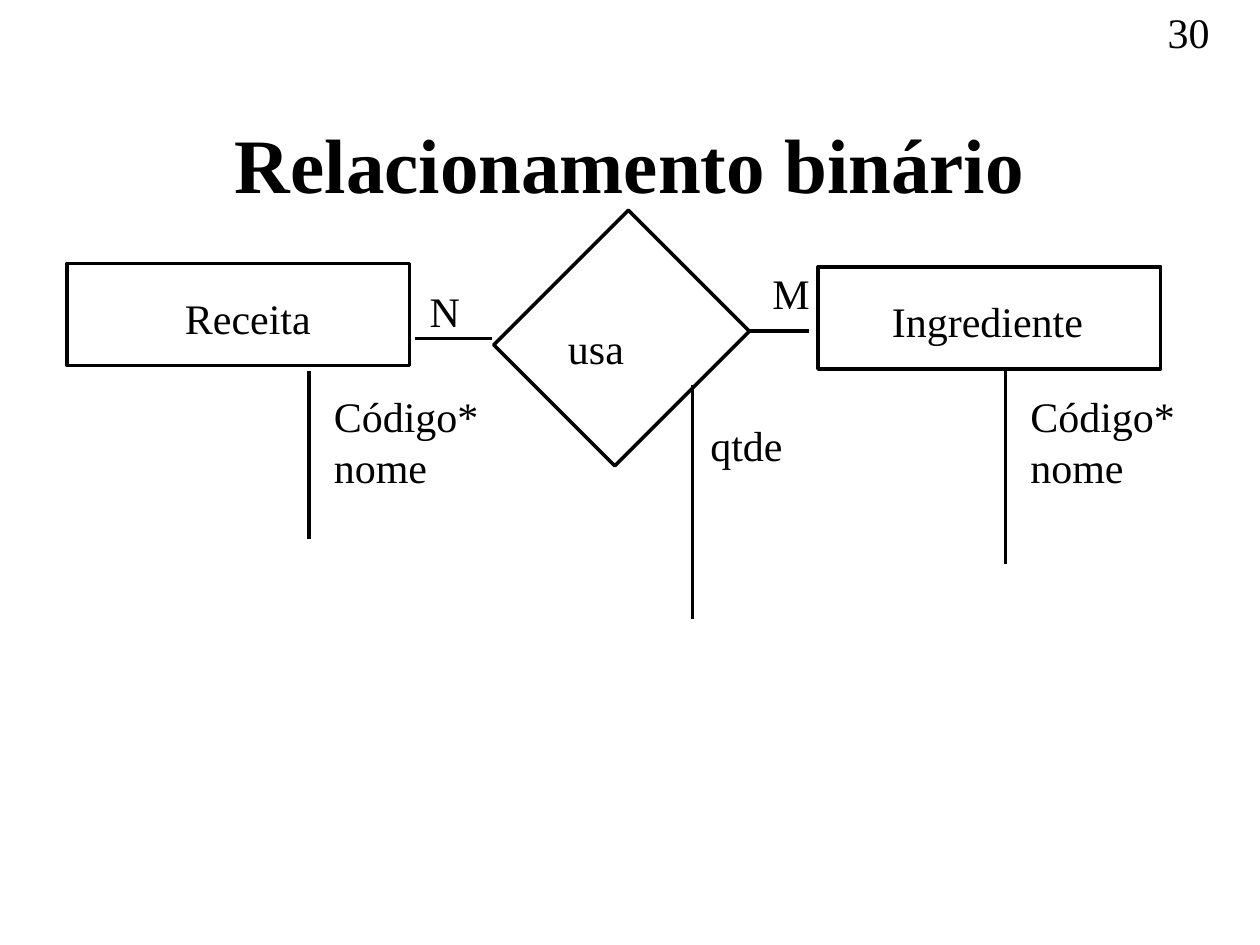
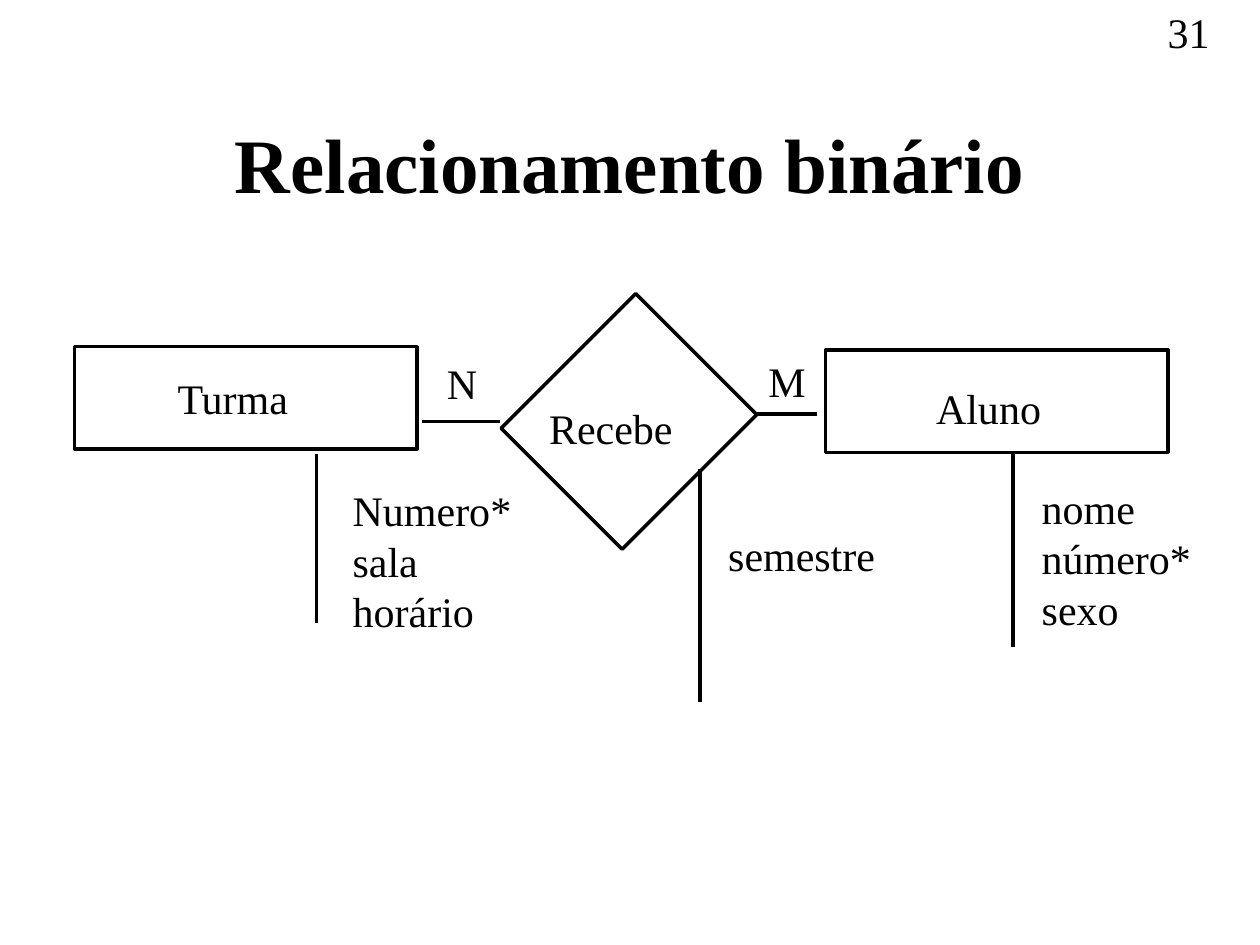
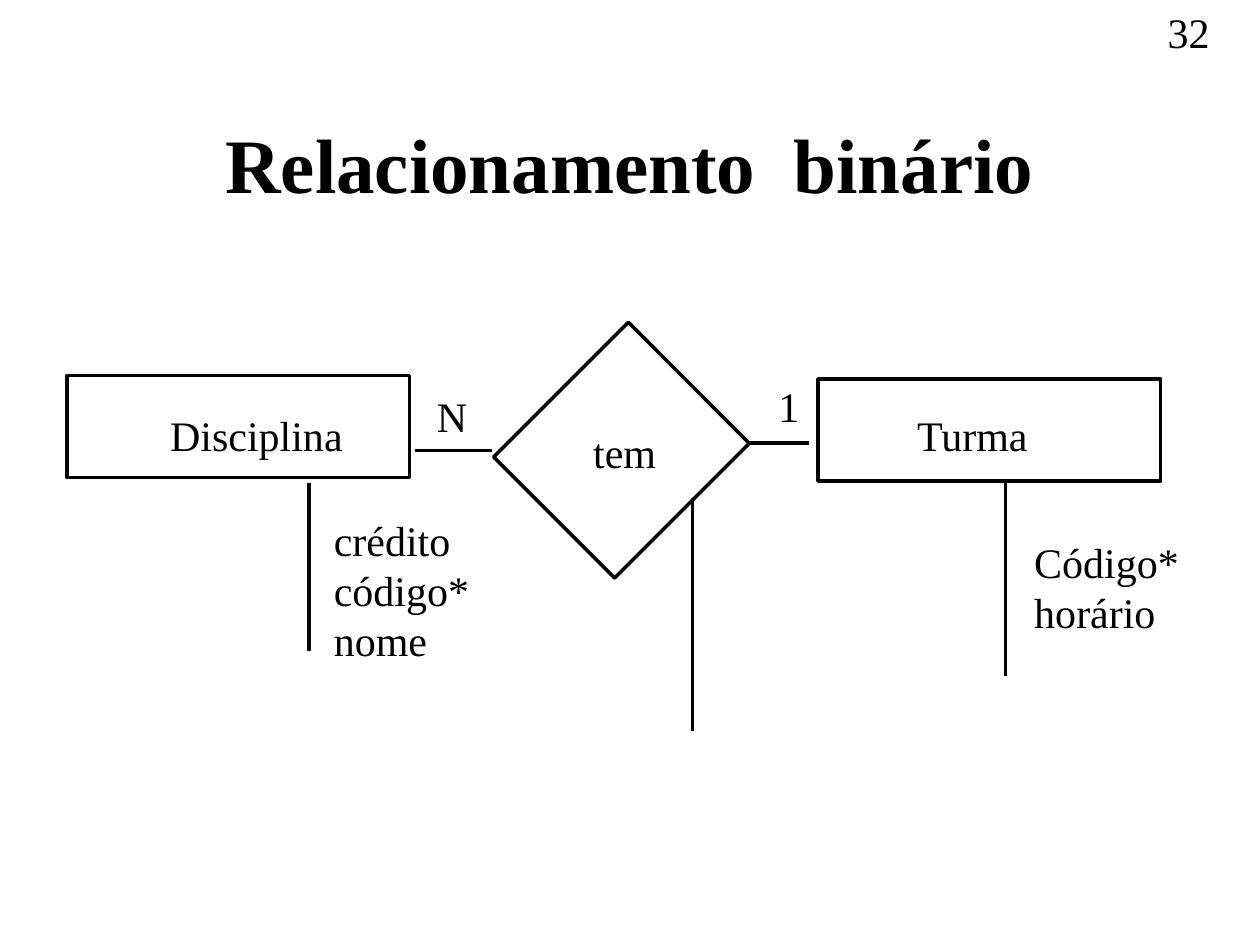
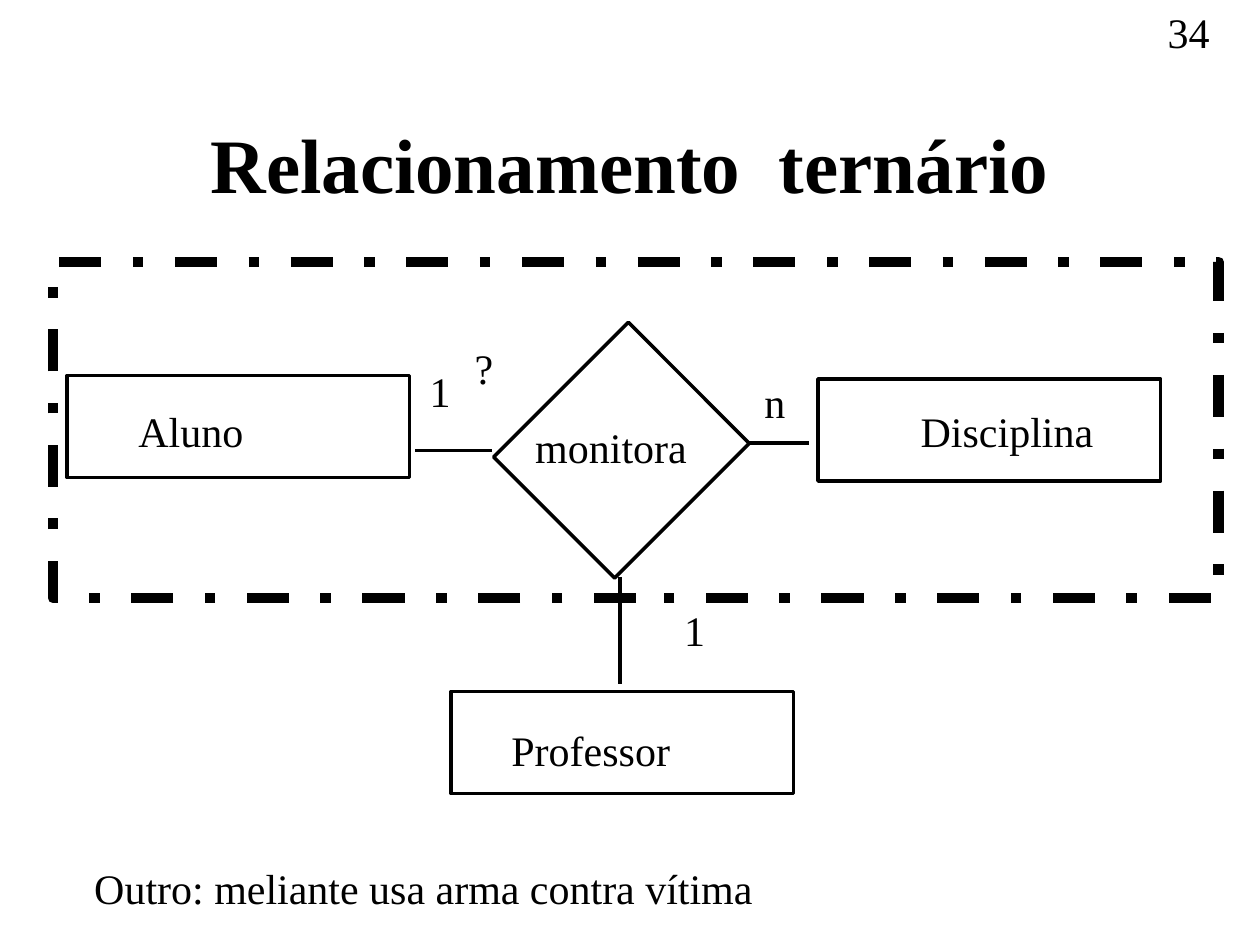
from dataclasses import dataclass

from lxml import etree
from pptx import Presentation
from pptx import util as u
from pptx.dml.color import RGBColor
from pptx.enum import dml, shapes, text
from pptx.oxml import ns


@dataclass(frozen=True)
class Theme:
    ink: RGBColor = RGBColor(0, 0, 0)
    paper: RGBColor = RGBColor(255, 255, 255)
    font: str = "Times New Roman"
    title_size: int = 44
    body_size: int = 24
    line_width: int = 2
    frame_width: int = 6


ENTITY_SIZE = (6.91, 2.06)
DIAMOND_SIZE = (3.84, 3.45)
FIRST_LINE_HEIGHT, LINE_STEP = 1.27, 1.02


class Deck:
    """Holds the theme, the current slide and the canvas that takes new shapes."""

    def __init__(self, theme):
        self.theme = theme
        self.presentation = Presentation()
        self.presentation.slide_width = u.Cm(25.4)
        self.presentation.slide_height = u.Cm(19.05)

    def new_slide(self, number, title):
        self.slide = self.presentation.slides.add_slide(self.presentation.slide_layouts[6])
        self.slide.background.fill.solid()
        self.slide.background.fill.fore_color.rgb = self.theme.paper
        self.canvas = self.slide.shapes
        self.label(str(number), 23.29, 0, 2.11, wrap=True)
        self.title(title)

    def start_group(self):
        self.canvas = self.slide.shapes.add_group_shape().shapes

    def end_group(self):
        self.canvas = self.slide.shapes

    def add_text(self, paragraph, content, size, bold=False):
        run = paragraph.add_run()
        run.text = content
        run.font.name = self.theme.font
        run.font.size = u.Pt(size)
        run.font.bold = bold
        run.font.color.rgb = self.theme.ink

    def title(self, content):
        frame = self.canvas.add_textbox(u.Cm(1.9), u.Cm(1.7), u.Cm(21.6), u.Cm(3.18)).text_frame
        frame.word_wrap = True
        frame.vertical_anchor = text.MSO_ANCHOR.MIDDLE
        frame.paragraphs[0].alignment = text.PP_ALIGN.CENTER
        self.add_text(frame.paragraphs[0], content, self.theme.title_size, bold=True)

    def label(self, content, left, top, width, wrap=False):
        """Text box with one paragraph for each line of content."""
        lines = content.split("\n")
        height = FIRST_LINE_HEIGHT + LINE_STEP * (len(lines) - 1)
        frame = self.canvas.add_textbox(u.Cm(left), u.Cm(top), u.Cm(width), u.Cm(height)).text_frame
        frame.word_wrap = wrap
        frame.auto_size = text.MSO_AUTO_SIZE.SHAPE_TO_FIT_TEXT
        for index, line in enumerate(lines):
            paragraph = frame.add_paragraph() if index else frame.paragraphs[0]
            self.add_text(paragraph, line, self.theme.body_size)

    def outline(self, left, top, size, line_width=None):
        shape = self.canvas.add_shape(shapes.MSO_SHAPE.RECTANGLE, u.Cm(left), u.Cm(top),
                                      *map(u.Cm, size))
        shape.shadow.inherit = False
        shape.fill.background()
        shape.line.color.rgb = self.theme.ink
        shape.line.width = u.Pt(line_width or self.theme.line_width)
        return shape

    def entity(self, left, top):
        self.outline(left, top, ENTITY_SIZE)

    def diamond(self, left, top):
        self.outline(left, top, DIAMOND_SIZE).rotation = 315

    def dashed_frame(self, left, top, size):
        shape = self.outline(left, top, size, self.theme.frame_width)
        shape.line.dash_style = dml.MSO_LINE.DASH_DOT

    def line(self, *ends):
        connector = self.canvas.add_connector(shapes.MSO_CONNECTOR.STRAIGHT, *map(u.Cm, ends))
        connector.line.color.rgb = self.theme.ink
        connector.line.width = u.Pt(self.theme.line_width)
        etree.SubElement(connector._element.spPr, ns.qn("a:effectLst"))

    def stem(self, x, top, bottom):
        self.line(x, top, x, bottom)

    def relationship(self, left, top):
        """Two entities linked through a diamond; left, top place the first entity."""
        self.entity(left, top)
        self.entity(left + 15.14, top + 0.07)
        self.diamond(left + 9.26, top - 0.22)
        self.line(left + 13.72, top + 1.36, left + 14.96, top + 1.36)
        self.line(left + 8.57, top + 1.51, left + 7.01, top + 1.51)

    def binary_diagram(self, left, top):
        """A relationship with a stem for the attributes of each of its parts."""
        self.start_group()
        self.relationship(left, top)
        for x, start, end in ((12.61, 2.46, 7.16), (4.88, 2.17, 5.56), (18.92, 2.17, 6.06)):
            self.stem(left + x, top + start, top + end)
        self.end_group()


# number, title, place of the first entity, labels (content, left, top, width)
BINARY_SLIDES = (
    (30, "Relacionamento binário", (1.35, 5.31), (
        ("Receita", 3.48, 5.77, 3.05),
        ("usa", 11.2, 6.38, 1.65),
        ("Ingrediente", 17.73, 5.84, 4.37),
        ("Código*\nnome", 6.48, 7.75, 3.43),
        ("Código*\nnome", 20.52, 7.75, 3.43),
        ("N", 8.41, 5.64, 1.12),
        ("M", 15.32, 5.26, 1.27),
        ("qtde", 14.07, 8.33, 1.98),
    )),
    (31, "Relacionamento binário", (1.5, 6.99), (
        ("Turma", 3.33, 7.39, 2.77),
        ("Aluno", 18.62, 7.59, 2.64),
        ("N", 8.76, 7.09, 1.12),
        ("M", 15.24, 7.04, 1.27),
        ("Numero*\nsala\nhorário", 6.86, 9.65, 3.71),
        ("nome\nnúmero*\nsexo", 20.75, 9.6, 3.53),
        ("semestre", 14.43, 10.54, 3.48),
        ("Recebe", 10.82, 7.98, 3),
    )),
    (32, "Relacionamento  binário", (1.35, 7.57), (
        ("Disciplina", 3.18, 8.13, 3.99),
        ("tem", 11.71, 8.48, 1.78),
        ("Turma", 18.24, 8.13, 2.77),
        ("N", 8.56, 7.75, 1.12),
        ("1", 15.44, 7.54, 0.94),
        ("crédito\ncódigo*\nnome", 6.48, 10.24, 3.25),
        ("Código*\nhorário", 20.6, 10.69, 3.43),
    )),
)

TERNARY_LABELS = (
    ("1", 8.41, 7.24, 0.94),
    ("n", 15.16, 7.47, 0.94),
    ("Disciplina", 18.31, 8.05, 3.99),
    ("Aluno", 2.54, 8.05, 2.64),
    ("1", 13.54, 12.07, 0.94),
    ("Professor", 10.06, 14.48, 3.71),
    ("monitora", 10.54, 8.38, 3.56),
    ("Outro: meliante usa arma contra vítima", 1.65, 17.27, 13.79),
)


def main():
    deck = Deck(Theme())
    for number, title, place, labels in BINARY_SLIDES:
        deck.new_slide(number, title)
        deck.binary_diagram(*place)
        for label in labels:
            deck.label(*label)

    deck.new_slide(34, "Relacionamento  ternário")
    deck.relationship(1.35, 7.57)
    deck.stem(12.5, 11.63, 13.79)
    deck.entity(9.09, 13.94)
    for label in TERNARY_LABELS:
        deck.label(*label)
    deck.dashed_frame(1.07, 5.28, (23.5, 6.78))
    deck.label("?", 9.32, 6.78, 1.07, wrap=True)

    deck.presentation.save("out.pptx")


if __name__ == "__main__":
    main()
